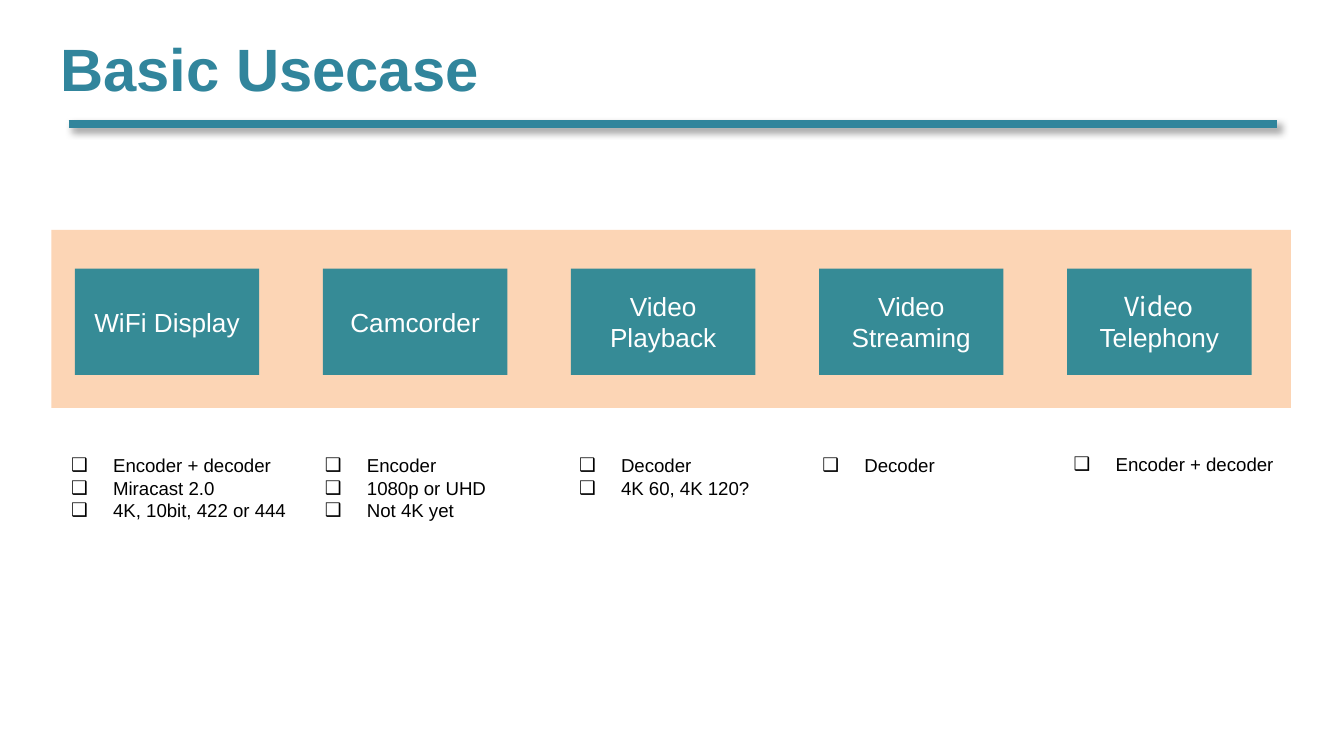
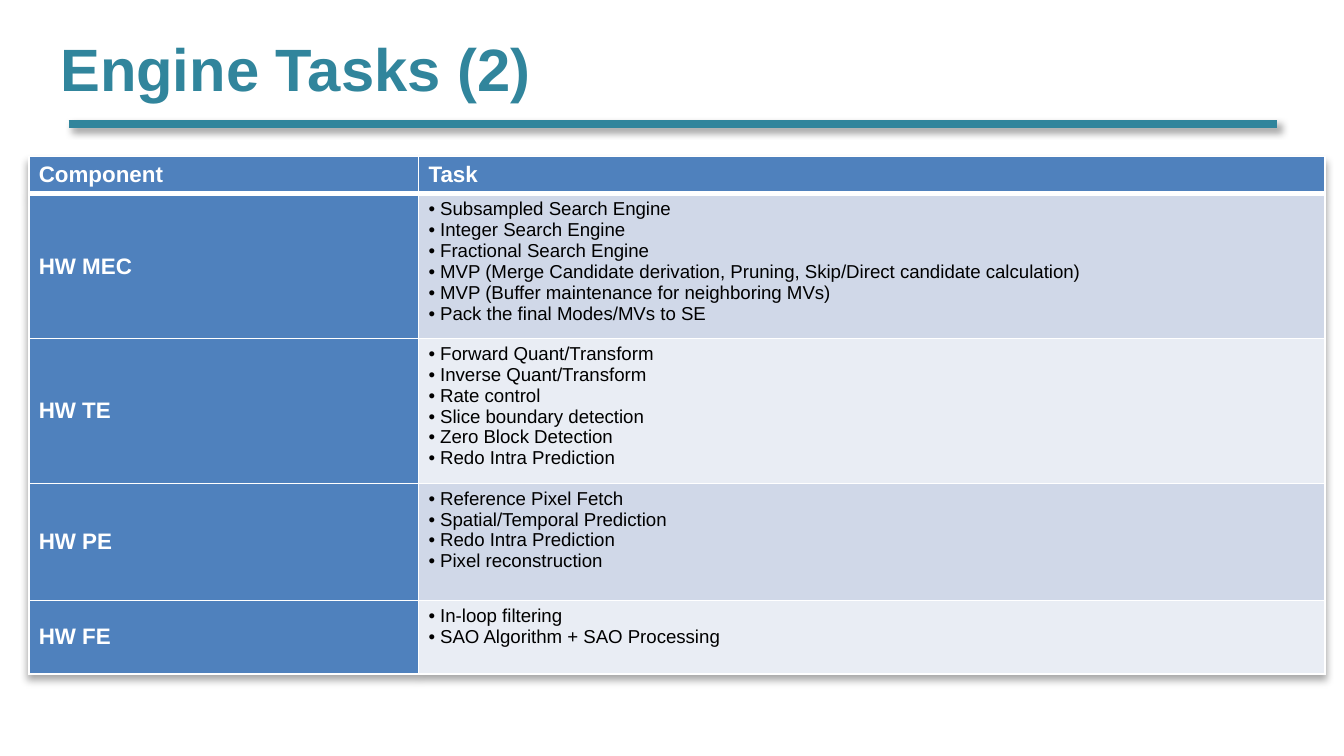
from lxml import etree
from pptx import Presentation
from pptx import util as u
from pptx.dml.color import RGBColor
from pptx.enum import shapes, text
from pptx.oxml.ns import qn

Pt = u.Pt
FONT = "Arial"
TEAL, BOX_TEAL, PEACH = "31859C", "368B96", "FCD5B5"
BLUE, BAND_DARK, BAND_LIGHT = "4F81BD", "D0D8E8", "E9EDF4"
WHITE, BLACK = "FFFFFF", "000000"

TITLE = dict(size=32, bold=True, color=TEAL)
BOX_TEXT = dict(size=14, color=WHITE)
HEADING = dict(size=12, bold=True, color=WHITE)
BODY = dict(size=10, bold=False, color=BLACK)

MIDDLE, TOP = text.MSO_ANCHOR.MIDDLE, text.MSO_ANCHOR.TOP


def color(hex_value):
    return RGBColor.from_string(hex_value)


def add_node(parent, tag, **attributes):
    node = etree.SubElement(parent, qn(tag))
    for name, value in attributes.items():
        node.set(name, str(value))
    return node


def add_shadow(parent, blur, distance, angle, alpha):
    effects = add_node(parent, "a:effectLst")
    shadow = add_node(effects, "a:outerShdw", blurRad=Pt(blur), dist=Pt(distance),
                      dir=angle * 60000, algn="t", rotWithShape=0)
    black = add_node(shadow, "a:srgbClr", val=BLACK)
    add_node(black, "a:alpha", val=alpha * 1000)
    return effects


class SlideBuilder:
    """Holds the deck style and the current slide."""

    def __init__(self):
        self.deck = Presentation()
        self.deck.slide_width, self.deck.slide_height = Pt(720), Pt(405)
        self.page = None

    def new_page(self, title):
        self.page = self.deck.slides.add_slide(self.deck.slide_layouts[6])
        self.rule(36.75, 66.5, 684)
        self.text_box(25.2, 2.2, 694.8, 67.7, [title], TITLE, anchor=MIDDLE)

    def rule(self, left, top, right):
        line = self.page.shapes.add_connector(
            shapes.MSO_CONNECTOR.STRAIGHT, Pt(left), Pt(top), Pt(right), Pt(top))
        line.line.color.rgb = color(TEAL)
        line.line.width = Pt(4.5)
        add_shadow(line._element.spPr, 4, 3, 45, 40)

    def add_span(self, para, words, style, font=FONT):
        span = para.add_run()
        span.text = words
        values = {"name": font, **style}
        span.font.color.rgb = color(values.pop("color"))
        values["size"] = Pt(values["size"])
        for name, value in values.items():
            setattr(span.font, name, value)

    def fill_text(self, frame, lines, style, bullet=None, indent=0, align=None):
        """A line is a string, or a list of (words, font) pairs."""
        frame.word_wrap = True
        for index, line in enumerate(lines):
            para = frame.add_paragraph() if index else frame.paragraphs[0]
            if align is not None:
                para.alignment = align
            if bullet:
                properties = para._p.get_or_add_pPr()
                properties.set("marL", str(Pt(indent)))
                properties.set("indent", str(-Pt(indent)))
                add_node(properties, "a:buFont", typeface=FONT)
                add_node(properties, "a:buChar", char=bullet)
            for words, font in [(line, FONT)] if isinstance(line, str) else line:
                self.add_span(para, words, style, font)

    def text_box(self, left, top, width, height, lines, style, anchor=TOP, **layout):
        box = self.page.shapes.add_textbox(Pt(left), Pt(top), Pt(width), Pt(height))
        box.text_frame.vertical_anchor = anchor
        self.fill_text(box.text_frame, lines, style, **layout)

    def rectangle(self, left, top, width, height, fill, label=None):
        box = self.page.shapes.add_shape(
            shapes.MSO_SHAPE.RECTANGLE, Pt(left), Pt(top), Pt(width), Pt(height))
        box.shadow.inherit = False
        box.fill.solid()
        box.fill.fore_color.rgb = color(fill)
        box.line.fill.background()
        if label:
            box.text_frame.vertical_anchor = MIDDLE
            self.fill_text(box.text_frame, [label], BOX_TEXT, align=text.PP_ALIGN.CENTER)

    def table(self, left, top, widths, heights):
        frame = self.page.shapes.add_table(
            len(heights), len(widths), Pt(left), Pt(top), Pt(sum(widths)), Pt(sum(heights)))
        grid = frame.table
        grid.horz_banding = False
        for column, width in zip(grid.columns, widths):
            column.width = Pt(width)
        for row, height in zip(grid.rows, heights):
            row.height = Pt(height)
        properties = grid._tbl.tblPr
        properties.insert(0, add_shadow(properties, 4, 3, 90, 35))
        return grid

    def cell(self, cell, fill, lines, style, anchor=TOP, borders=(1, 1, 1, 1), **layout):
        """Borders are the widths at left, right, top and bottom."""
        margins = dict(margin_left=5.4, margin_right=5.4, margin_top=2.7, margin_bottom=2.7)
        for name, value in margins.items():
            setattr(cell, name, Pt(value))
        cell.vertical_anchor = anchor
        properties = cell._tc.get_or_add_tcPr()
        for side, width in zip("LRTB", borders):
            edge = add_node(properties, f"a:ln{side}", w=Pt(width))
            add_node(add_node(edge, "a:solidFill"), "a:srgbClr", val=WHITE)
        cell.fill.solid()
        cell.fill.fore_color.rgb = color(fill)
        self.fill_text(cell.text_frame, lines, style, **layout)


def build_usecases(deck):
    deck.new_page("Basic Usecase")
    deck.rectangle(27.6, 123.2, 664, 95.4, PEACH)

    # Use case label, then left, top and width of its notes
    usecases = [
        ("WiFi Display", 31, 239.8, 134,
         ["Encoder + decoder", "Miracast 2.0", "4K, 10bit, 422 or 444"]),
        ("Camcorder", 167, 239.8, 107.3, ["Encoder", "1080p or UHD", "Not 4K yet"]),
        ("Video Playback", 303.1, 239.8, 107.3, ["Decoder", "4K 60, 4K 120?"]),
        ("Video Streaming", 433.5, 239.8, 107.3, ["Decoder"]),
        ([("Video ", "Noto Sans CJK KR"), ("Telephony", FONT)], 568.1, 239.2, 126,
         ["Encoder + decoder"]),
    ]
    for index, (label, left, top, width, notes) in enumerate(usecases):
        deck.rectangle(40.1 + 132.9 * index, 143.9, 98.8, 57, BOX_TEAL, label)
        deck.text_box(left, top, width, 7.2 + 12.2 * len(notes), notes, BODY,
                      bullet="❑", indent=22.5)


def build_engine_tasks(deck):
    deck.new_page("Engine Tasks (2)")
    components = {
        "HW MEC": [
            "Subsampled Search Engine",
            "Integer Search Engine",
            "Fractional Search Engine",
            "MVP (Merge Candidate derivation, Pruning, Skip/Direct candidate calculation)",
            "MVP (Buffer maintenance for neighboring MVs)",
            "Pack the final Modes/MVs to SE",
        ],
        "HW TE": [
            "Forward Quant/Transform",
            "Inverse Quant/Transform",
            "Rate control",
            "Slice boundary detection",
            "Zero Block Detection",
            "Redo Intra Prediction",
        ],
        "HW PE": [
            "Reference Pixel Fetch",
            "Spatial/Temporal Prediction",
            "Redo Intra Prediction",
            "Pixel reconstruction",
        ],
        "HW FE": ["In-loop filtering", "SAO Algorithm + SAO Processing"],
    }
    grid = deck.table(15.4, 83.9, [208.8, 485.5], [20, 74.4, 74.2, 62.7, 39.4])

    # Header row
    for column, heading in enumerate(["Component", "Task"]):
        deck.cell(grid.cell(0, column), BLUE, [heading], HEADING, borders=(1, 1, 1, 3))

    # One row per component, in alternating bands
    for row, (component, tasks) in enumerate(components.items(), start=1):
        borders = (1, 1, 3 if row == 1 else 1, 1)
        band = BAND_DARK if row % 2 else BAND_LIGHT
        deck.cell(grid.cell(row, 0), BLUE, [component], HEADING, MIDDLE, borders)
        deck.cell(grid.cell(row, 1), band, tasks, BODY, TOP, borders,
                  bullet="•", indent=6.25)


def main():
    builder = SlideBuilder()
    build_usecases(builder)
    build_engine_tasks(builder)
    builder.deck.save("out.pptx")


if __name__ == "__main__":
    main()
